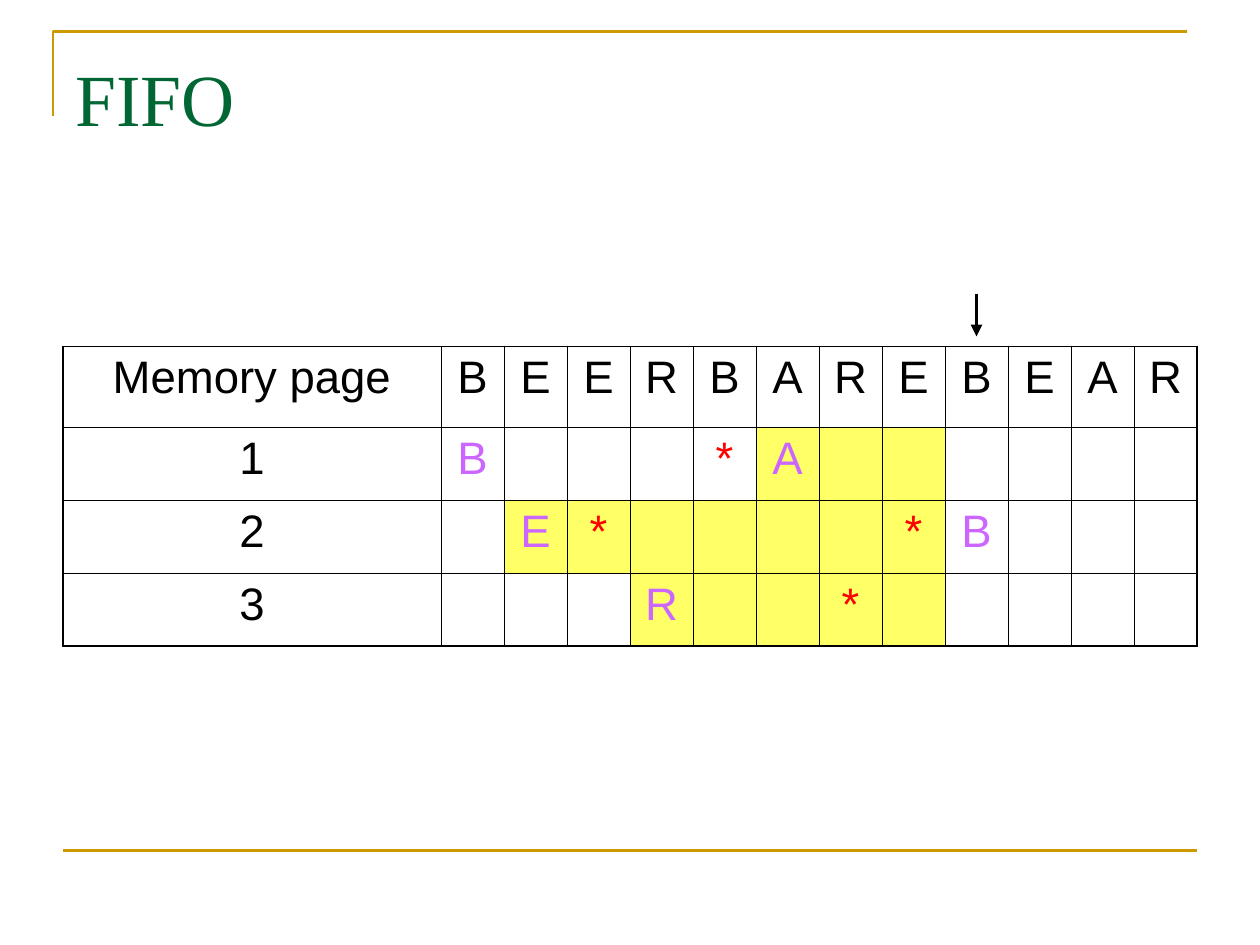
from dataclasses import dataclass

from lxml.etree import SubElement
from pptx import Presentation
from pptx.dml.color import RGBColor
from pptx.enum.shapes import MSO_CONNECTOR as CONNECTOR
from pptx.enum.text import MSO_ANCHOR as ANCHOR, MSO_AUTO_SIZE as AUTO_SIZE, PP_ALIGN as ALIGN
from pptx.oxml.ns import qn
from pptx.util import Pt

PX = 9144  # EMU; 100 px to the inch
COLORS = {
    "rule": "CC9900",
    "title": "006633",
    "ink": "000000",
    "loaded": "CC66FF",
    "hit": "FF0000",
    "resident": "FFFF66",
}
THIN, THICK = 0.45, 1.08
LEFT, TOP = 50, 275
LABEL_W, STEP_W = 300, 50
HEADER_H, FRAME_H = 64, 58
REFERENCES = "BEERBAREBEAR"
CURRENT_STEP = 8


@dataclass
class Frame:
    label: str
    events: str  # one character per step: a loaded page, * for a hit, - for nothing
    resident: range  # highlighted steps


FRAMES = [
    Frame("1", "B---*A------", range(5, 8)),
    Frame("2", "-E*----*B---", range(1, 8)),
    Frame("3", "---R--*-----", range(3, 8)),
]


def rgb(name: str) -> RGBColor:
    return RGBColor.from_string(COLORS[name])


def add_line(slide, start: tuple[int, int], end: tuple[int, int], color: str, width: float):
    line = slide.shapes.add_connector(CONNECTOR.STRAIGHT, *(v * PX for v in start + end))
    line.line.color.rgb = rgb(color)
    line.line.width = Pt(width)
    SubElement(line._element.spPr, qn("a:effectLst"))
    return line


def add_corner_rule(slide) -> None:
    builder = slide.shapes.build_freeform(42, 92, scale=PX)
    builder.add_line_segments([(42, 25), (942, 25)], close=False)
    sp = builder.convert_to_shape()
    sp.shadow.inherit = False
    sp.fill.background()
    sp.line.color.rgb = rgb("rule")
    sp.line.width = Pt(1.5)


def set_title(slide, text: str) -> None:
    title = slide.shapes.title
    title.left, title.top, title.width, title.height = (v * PX for v in (50, 30, 900, 125))
    tf = title.text_frame
    tf.text = text
    tf.auto_size = AUTO_SIZE.NONE
    tf.vertical_anchor = ANCHOR.TOP
    tf.margin_top = 12 * PX
    p = tf.paragraphs[0]
    p.alignment = ALIGN.LEFT
    font = p.runs[0].font
    font.name, font.size, font.color.rgb = "Times New Roman", Pt(42), rgb("title")


def set_borders(cell, widths: dict[str, float]) -> None:
    tc_pr = cell._tc.get_or_add_tcPr()
    for side, width in widths.items():
        ln = SubElement(tc_pr, qn(f"a:ln{side}"), w=str(Pt(width)))
        fill = SubElement(ln, qn("a:solidFill"))
        SubElement(fill, qn("a:srgbClr"), val=COLORS["ink"])


def fill_cell(cell, text: str, color: str, highlighted: bool) -> None:
    if highlighted:
        cell.fill.solid()
        cell.fill.fore_color.rgb = rgb("resident")
    else:
        cell.fill.background()
    if text:
        p = cell.text_frame.paragraphs[0]
        p.text = text
        p.alignment = ALIGN.CENTER
        font = p.runs[0].font
        font.name, font.size, font.color.rgb = "Arial", Pt(26), rgb(color)


def add_memory_table(slide) -> None:
    n_rows, n_cols = len(FRAMES) + 1, len(REFERENCES) + 1
    widths = [LABEL_W] + [STEP_W] * len(REFERENCES)
    heights = [HEADER_H] + [FRAME_H] * len(FRAMES)
    bounds = (LEFT, TOP, sum(widths), sum(heights))
    table = slide.shapes.add_table(n_rows, n_cols, *(v * PX for v in bounds)).table
    table.first_row = table.horz_banding = False
    for column, width in zip(table.columns, widths):
        column.width = width * PX
    for row, height in zip(table.rows, heights):
        row.height = height * PX
    for r in range(n_rows):
        for c in range(n_cols):
            outer = {"L": c == 0, "R": c == n_cols - 1, "T": r == 0, "B": r == n_rows - 1}
            set_borders(table.cell(r, c), {k: THICK if v else THIN for k, v in outer.items()})

    for c, text in enumerate(["Memory page", *REFERENCES]):
        fill_cell(table.cell(0, c), text, "ink", False)
    for r, frame in enumerate(FRAMES, start=1):
        fill_cell(table.cell(r, 0), frame.label, "ink", False)
        for step, event in enumerate(frame.events):
            color = "hit" if event == "*" else "loaded"
            text = "" if event == "-" else event
            fill_cell(table.cell(r, step + 1), text, color, step in frame.resident)


def add_step_arrow(slide) -> None:
    x = LEFT + LABEL_W + CURRENT_STEP * STEP_W + STEP_W // 2
    arrow = add_line(slide, (x, 233), (x, 267), "ink", 2.25)
    SubElement(arrow.line._get_or_add_ln(), qn("a:tailEnd"), type="triangle")


def main() -> None:
    prs = Presentation()
    prs.slide_width, prs.slide_height = 1000 * PX, 750 * PX
    slide = prs.slides.add_slide(prs.slide_layouts[5])
    add_corner_rule(slide)
    add_line(slide, (50, 675), (950, 675), "rule", 1.5)
    set_title(slide, "FIFO")
    add_memory_table(slide)
    add_step_arrow(slide)
    prs.save("out.pptx")


if __name__ == "__main__":
    main()
